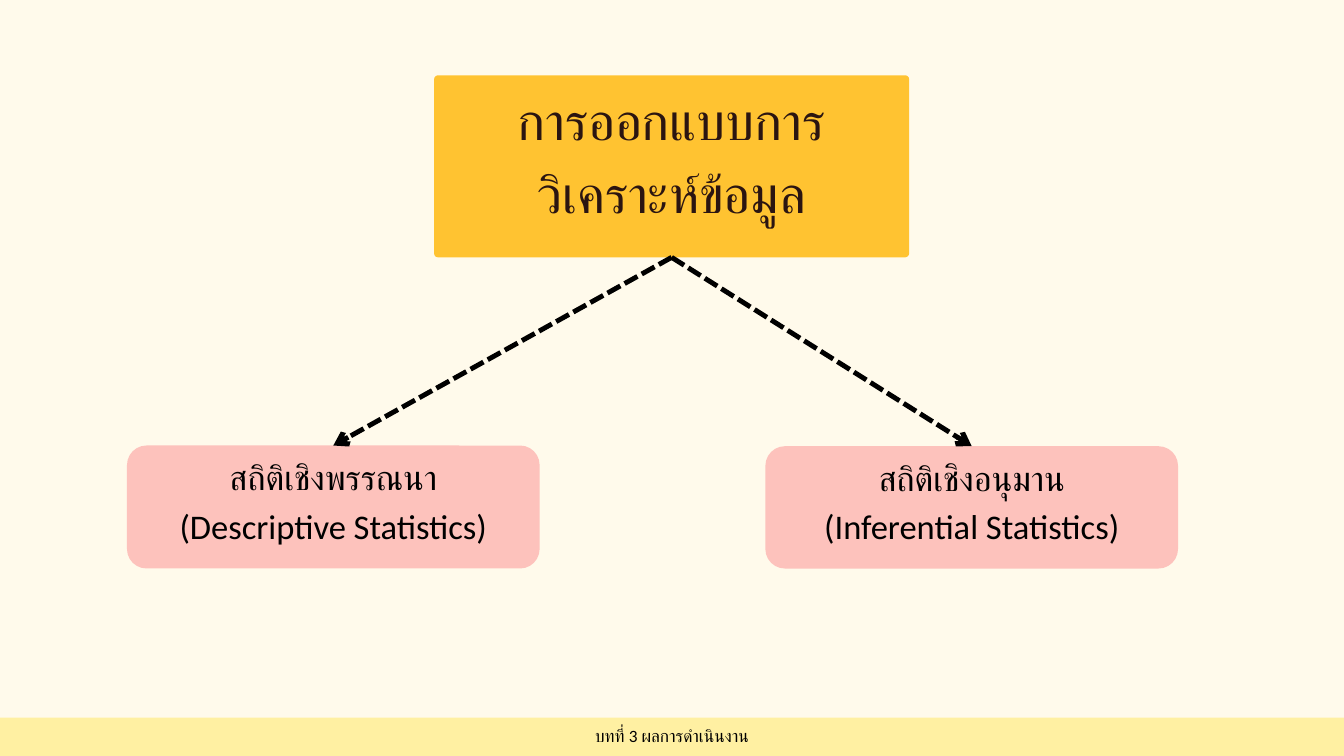
from lxml import etree
from pptx import Presentation
from pptx.dml.color import RGBColor
from pptx.enum import dml, shapes, text
from pptx.oxml import ns
from pptx.util import Inches, Pt

CREAM = RGBColor(0xFF, 0xFA, 0xEB)
AMBER = RGBColor(0xFF, 0xC3, 0x31)
YELLOW = RGBColor(0xFF, 0xF0, 0xA2)
PINK = RGBColor(0xFD, 0xC2, 0xBC)
BROWN = RGBColor(0x2B, 0x15, 0x11)
BLACK = RGBColor(0, 0, 0)

FONT = "Calibri"
BRANCHES = [
    (1.89, 6.63, ["สถิติเชิงพรรณนา", "(Descriptive Statistics)"]),
    (11.39, 6.64, ["สถิติเชิงอนุมาน", "(Inferential Statistics)"]),
]


def add_panel(slide, left, top, width, height, color, radius=0):
    kind = shapes.MSO_SHAPE.ROUNDED_RECTANGLE if radius else shapes.MSO_SHAPE.RECTANGLE
    panel = slide.shapes.add_shape(
        kind, Inches(left), Inches(top), Inches(width), Inches(height))
    if radius:
        panel.adjustments[0] = radius / min(width, height)
    panel.shadow.inherit = False
    panel.fill.solid()
    panel.fill.fore_color.rgb = color
    panel.line.fill.background()
    return panel


def write_lines(box, lines, size, spacing, color):
    frame = box.text_frame
    frame.word_wrap = True
    frame.auto_size = text.MSO_AUTO_SIZE.NONE
    frame.vertical_anchor = text.MSO_ANCHOR.MIDDLE
    frame.margin_left = frame.margin_right = Inches(0.06)
    frame.margin_top = frame.margin_bottom = Inches(0.06)
    frame.text = "\n".join(lines)
    for paragraph in frame.paragraphs:
        paragraph.alignment = text.PP_ALIGN.CENTER
        paragraph.line_spacing = Pt(spacing)
        paragraph.font.name = FONT
        paragraph.font.size = Pt(size)
        paragraph.font.color.rgb = color


def add_label(slide, panel, rise, lines, size, spacing):
    label = slide.shapes.add_textbox(
        panel.left, panel.top - Inches(rise), panel.width, panel.height + Inches(rise))
    write_lines(label, lines, size, spacing, BLACK)


def add_heading(slide):
    panel = add_panel(slide, 6.46, 1.12, 7.07, 2.71, AMBER, 0.06)
    title = slide.shapes.title
    title.left, title.top = panel.left, Inches(0.65)
    title.width, title.height = panel.width, Inches(3.18)
    write_lines(title, ["การออกแบบการวิเคราะห์ข้อมูล"], 56, 78.4, BROWN)
    panel._element.addnext(title._element)
    return panel


def add_arrow(slide, source, target):
    arrow = slide.shapes.add_connector(shapes.MSO_CONNECTOR.STRAIGHT, 0, 0, 0, 0)
    arrow.begin_connect(source, 2)
    arrow.end_connect(target, 0)
    arrow.line.color.rgb = BLACK
    arrow.line.width = Pt(5.25)
    arrow.line.dash_style = dml.MSO_LINE.SQUARE_DOT
    etree.SubElement(arrow.line._get_or_add_ln(), ns.qn("a:tailEnd"), type="arrow")
    etree.SubElement(arrow._element.spPr, ns.qn("a:effectLst"))


def add_branch(slide, heading, left, top, lines):
    panel = add_panel(slide, left, top, 6.14, 8.46 - top, PINK, 0.29)
    add_label(slide, panel, 0.28, lines, 37, 51.8)
    add_arrow(slide, heading, panel)


def add_footer(slide):
    band = add_panel(slide, -2.7, 10.68, 25.4, 0.59, YELLOW)
    add_label(slide, band, 0.12, ["บทที่ 3 ผลการดำเนินงาน"], 18.5, 25.9)


def main():
    deck = Presentation()
    deck.slide_width, deck.slide_height = Inches(20), Inches(11.25)
    slide = deck.slides.add_slide(deck.slide_layouts.get_by_name("Title Only"))
    slide.background.fill.solid()
    slide.background.fill.fore_color.rgb = CREAM

    heading = add_heading(slide)
    for left, top, lines in BRANCHES:
        add_branch(slide, heading, left, top, lines)
    add_footer(slide)
    deck.save("out.pptx")


if __name__ == "__main__":
    main()
